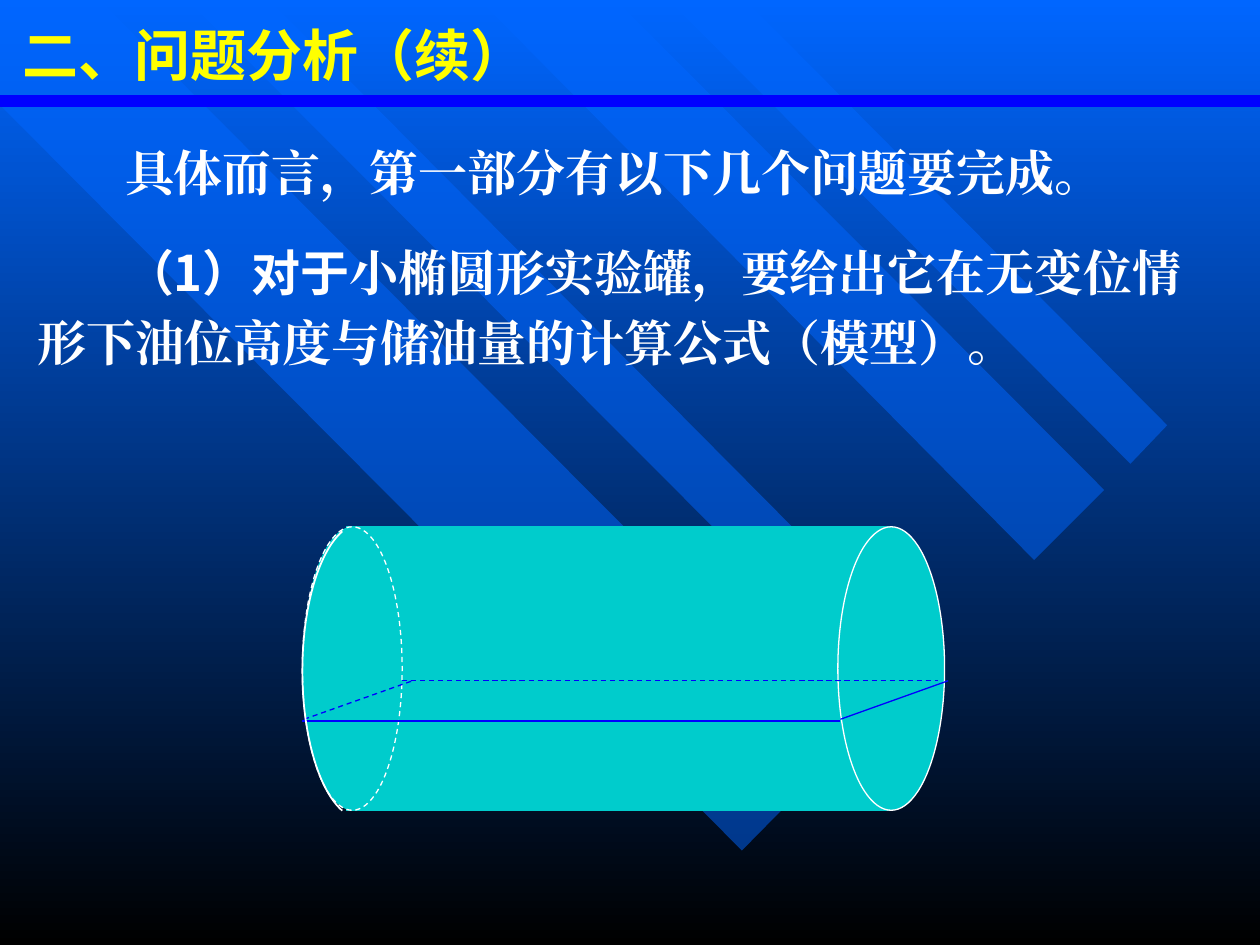
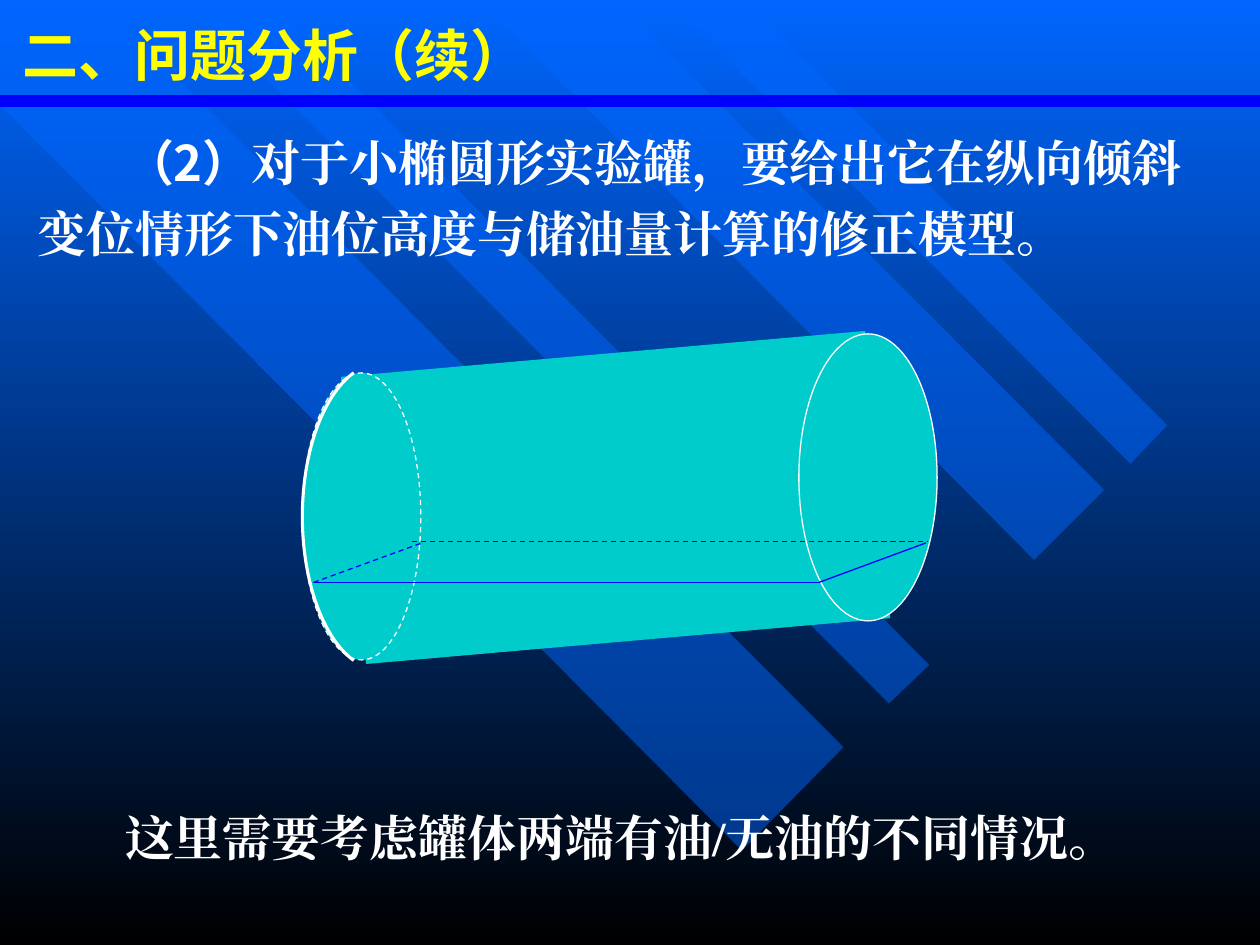
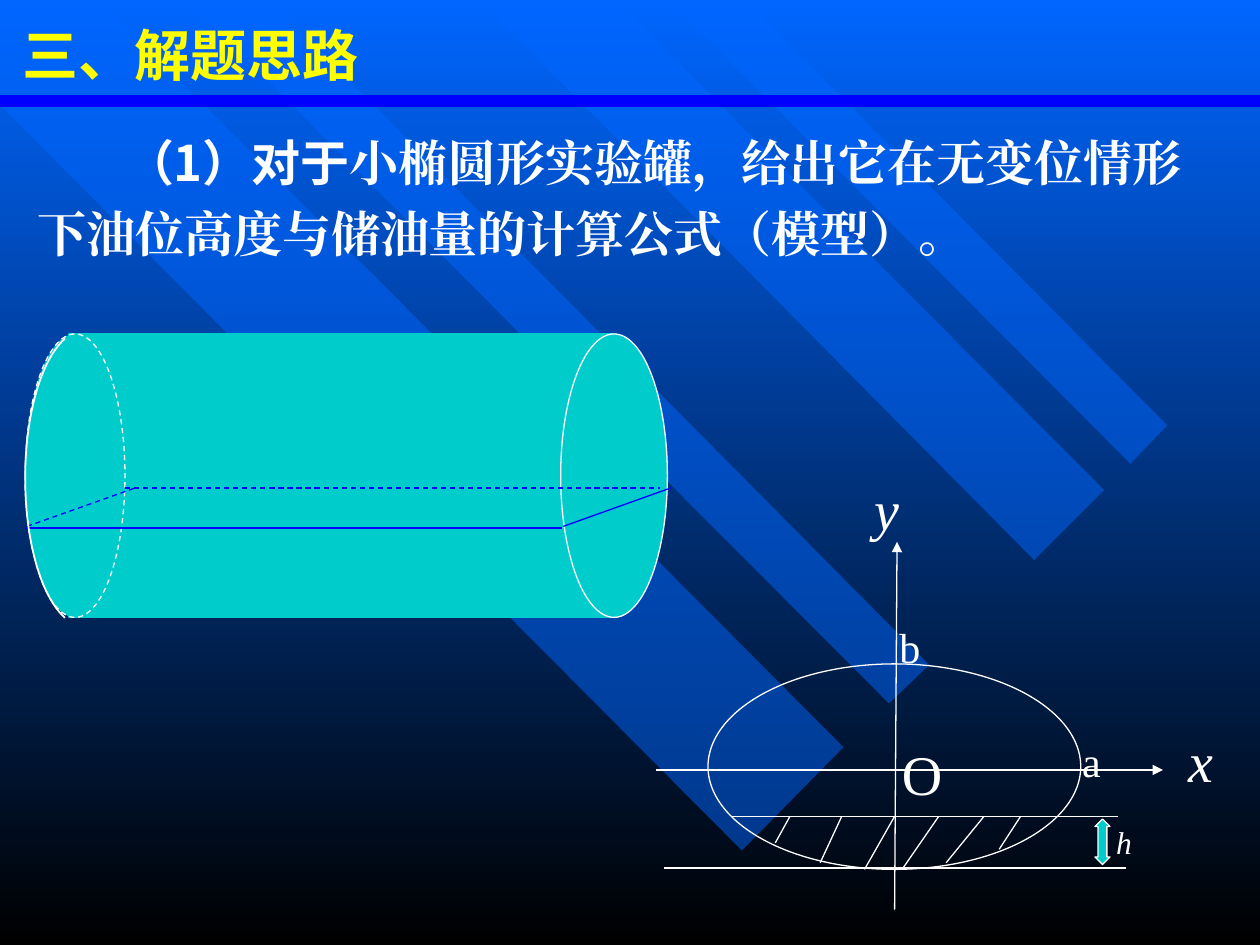
from lxml import etree
from pptx import Presentation
from pptx.dml.color import RGBColor
from pptx.enum import dml, shapes, text
from pptx.oxml import ns
from pptx.util import Pt

SKY = RGBColor(0x00, 0x66, 0xFF)
BLACK = RGBColor(0x00, 0x00, 0x00)
BLUE = RGBColor(0x00, 0x00, 0xFF)
TEAL = RGBColor(0x00, 0xCC, 0xCC)
WHITE = RGBColor(0xFF, 0xFF, 0xFF)
YELLOW = RGBColor(0xFF, 0xFF, 0x00)
SANS = "Noto Sans CJK SC"
SERIF = "Times New Roman"
FORM = shapes.MSO_SHAPE


def style(item, line=None, fill=None, width=0.75, dashed=False):
    """Set fill and outline of a shape or connector and drop its shadow."""
    if not isinstance(item, connector_type):
        if fill is None:
            item.fill.background()
        else:
            item.fill.solid()
            item.fill.fore_color.rgb = fill
    if line is None:
        item.line.fill.background()
    else:
        item.line.color.rgb = line
        item.line.width = Pt(width)
    if dashed:
        item.line.dash_style = dml.MSO_LINE.DASH
    etree.SubElement(item._element.spPr, ns.qn("a:effectLst"))


def write(box, spans, size, color=WHITE, anchor=text.MSO_ANCHOR.TOP,
          grow=text.MSO_AUTO_SIZE.SHAPE_TO_FIT_TEXT, **formats):
    """Fill a box with one paragraph of (words, font name) spans."""
    frame = box.text_frame
    frame.word_wrap = True
    frame.auto_size = grow
    frame.vertical_anchor = anchor
    para = frame.paragraphs[0]
    para.alignment = text.PP_ALIGN.LEFT
    for words, face in spans:
        span = para.add_run()
        span.text = words
        values = {"size": Pt(size), "name": face, **formats}
        for name, value in values.items():
            setattr(span.font, name, value)
        span.font.color.rgb = color
        east = etree.SubElement(span.font._element, ns.qn("a:ea"))
        east.set("typeface", face)
    return para


deck = Presentation()
deck.slide_width, deck.slide_height = Pt(720), Pt(540)
layout = deck.slide_layouts[5]
master = deck.slide_master
pages = [deck.slides.add_slide(layout) for _ in range(3)]

# Shared background
backdrop = master.background.fill
backdrop.gradient()
backdrop.gradient_angle = 270
for stop, color, place in zip(backdrop.gradient_stops, (SKY, BLACK), (0, 1)):
    stop.color.rgb = color
    stop.position = place

# Shared ribbons and title rule, moved to the master
first = pages[0].shapes
rule = first.add_shape(FORM.RECTANGLE, Pt(0), Pt(54.7), Pt(720), Pt(5.8))
connector_type = type(first.add_connector(shapes.MSO_CONNECTOR.STRAIGHT, 0, 0, 0, 0))
first._spTree.remove(first[-1]._element)
style(rule, BLUE, BLUE)
ribbons = [
    [(482.4, 427), (56.9, 0), (0, 0), (0, 60.5), (424, 486)],
    [(154, 0), (531.4, 379.5), (508.3, 402.5), (107.3, 0)],
    [(352, 0), (630.7, 280), (591, 319.7), (273.6, 0)],
    [(381.6, 0), (645.8, 265), (667.4, 243.4), (425.5, 0)],
]
shared = []
for points in ribbons:
    outline = first.build_freeform(*points[0], scale=Pt(1))
    outline.add_line_segments(points[1:], close=True)
    ribbon = outline.convert_to_shape()
    style(ribbon, fill=SKY)
    tint = ribbon._element.spPr.find(".//" + ns.qn("a:srgbClr"))
    etree.SubElement(tint, ns.qn("a:alpha")).set("val", "50000")
    shared.append(ribbon)
shared.append(rule)
for order, item in enumerate(shared):
    item._element.nvSpPr.cNvPr.id = 100 + order
    master.shapes._spTree.insert(2 + order, item._element)

# Tank parts, measured from the tank's left top corner
level_tank = {
    "body": (25, 0, 312, 162), "turn": 0,
    "back": (0, 0, 57, 162), "front": (306, 0, 61, 162),
    "surface": [(307.5, 110, 369, 88, False), (57, 88, 363, 88, True),
                (0, 111, 307, 111, False), (1, 110, 63, 88, True)],
    "rim": (0, -2, 68, 169), "rim_angle": 98, "rim_width": 1,
}
tilted_tank = {
    "body": (29, 11.5, 300, 164), "turn": 355,
    "back": (0, 22.3, 67.7, 164), "front": (283.7, 0, 79, 164),
    "surface": [(295.2, 142, 356.4, 119.4, False), (62.6, 118.8, 357, 118.8, True),
                (5.8, 142, 295.2, 142, False), (6.5, 142, 68.4, 119.4, True)],
    "rim": (0, 16.6, 90.7, 175.7), "rim_angle": 101, "rim_width": 1.75,
}

# Content: title, (top, height, spans) of each text, tank and its corner
contents = [
    ("二、问题分析（续）", [
        (71.3, 47.5, [("具体而言，第一部分有以下几个问题要完成。", SERIF)]),
        (128.2, 87.8, [("（1）对于", SANS), (
            "小椭圆形实验罐，要给出它在无变位情形下油位高度与储油量的计算公式（模型）。", SERIF)]),
    ], level_tank, (172.8, 301)),
    ("二、问题分析（续）", [
        (65.5, 87.8, [("（2）", SANS), (
            "对于小椭圆形实验罐，要给出它在纵向倾斜变位情形下油位高度与储油量计算的修正模型。", SERIF)]),
        (451.4, 47.5, [("这里需要考虑罐体两端有油/无油的不同情况。", SERIF)]),
    ], tilted_tank, (172.8, 190.8)),
    ("三、解题思路", [
        (65.5, 87.8, [("（1）对于", SANS), (
            "小椭圆形实验罐，给出它在无变位情形下油位高度与储油量的计算公式（模型）。", SERIF)]),
    ], level_tank, (14.4, 190.8)),
]

for page, (heading, texts, tank, (left, top)) in zip(pages, contents):
    # Title
    title = page.shapes.title
    title.left, title.top, title.width, title.height = Pt(5.8), Pt(9.4), Pt(324), Pt(42.5)
    write(title, [(heading, SANS)], 32, YELLOW, text.MSO_ANCHOR.MIDDLE,
          text.MSO_AUTO_SIZE.NONE, bold=True)

    # Statements
    for y, height, spans in texts:
        box = page.shapes.add_textbox(Pt(14.4), Pt(y), Pt(692), Pt(height))
        para = write(box, spans, 28, anchor=text.MSO_ANCHOR.MIDDLE, bold=True)
        para.line_spacing = 1.2
        para._p.get_or_add_pPr().set("indent", str(Pt(50)))

    # Tank body and ends
    for part, form, line in (("body", FORM.RECTANGLE, TEAL), ("back", FORM.OVAL, WHITE),
                             ("front", FORM.OVAL, WHITE)):
        x, y, width, height = tank[part]
        item = page.shapes.add_shape(form, Pt(left + x), Pt(top + y), Pt(width), Pt(height))
        style(item, line, TEAL, dashed=part == "back")
        if part == "body":
            item.rotation = tank["turn"]

    # Oil surface
    for x1, y1, x2, y2, dashed in tank["surface"]:
        edge = page.shapes.add_connector(
            shapes.MSO_CONNECTOR.STRAIGHT,
            Pt(left + x1), Pt(top + y1), Pt(left + x2), Pt(top + y2))
        style(edge, BLUE, dashed=dashed)

    # Visible left rim; an arc adjustment of 0.6 is one degree
    x, y, width, height = tank["rim"]
    rim = page.shapes.add_shape(FORM.ARC, Pt(left + x), Pt(top + y), Pt(width), Pt(height))
    rim.adjustments[0] = tank["rim_angle"] * 0.6
    rim.adjustments[1] = (360 - tank["rim_angle"]) * 0.6
    style(rim, WHITE, width=tank["rim_width"])

# Cross-section of the tank on the last page
page = pages[2]
section = page.shapes.add_shape(FORM.OVAL, Pt(404.6), Pt(379.4), Pt(213), Pt(117.4))
style(section, WHITE)

axes = [(511.2, 519.8, 512.6, 309.6), (375, 440, 664.6, 440)]
levels = [(417.6, 466.5, 638.6, 466.5), (643.7, 496, 379.4, 496)]
hatches = [(451.4, 466.5, 443, 481.7), (481, 466.5, 468.7, 493), (511.2, 466.5, 494, 496.8),
           (536.4, 466.5, 515.5, 496.8), (562.3, 466.5, 540.7, 493), (583.2, 466.5, 571, 485.3)]
for ends in axes + levels + hatches:
    stroke = page.shapes.add_connector(shapes.MSO_CONNECTOR.STRAIGHT, *map(Pt, ends))
    style(stroke, WHITE)
    if ends in axes:
        head = etree.SubElement(stroke.line._get_or_add_ln(), ns.qn("a:tailEnd"))
        head.set("type", "triangle")

depth = page.shapes.add_shape(FORM.UP_DOWN_ARROW, Pt(625.7), Pt(468), Pt(8.6), Pt(26))
depth.adjustments[0], depth.adjustments[1] = 0.5, 0.59
style(depth, WHITE, TEAL)

# Labels of the cross-section
labels = [("x", 671.8, 411.8, 51, 46, 32, True), ("y", 492.5, 267.8, 38, 46, 32, True),
          ("O", 508.3, 419, 29.5, 46, 32, False), ("h", 630.7, 466.5, 38, 29, 18, True),
          ("a", 611.3, 416.9, 47, 36, 24, False), ("b", 506.9, 351.4, 38, 36, 24, False)]
for letter, x, y, width, height, size, slanted in labels:
    box = page.shapes.add_textbox(Pt(x), Pt(y), Pt(width), Pt(height))
    write(box, [(letter, SERIF)], size, italic=slanted)

deck.save("out.pptx")
